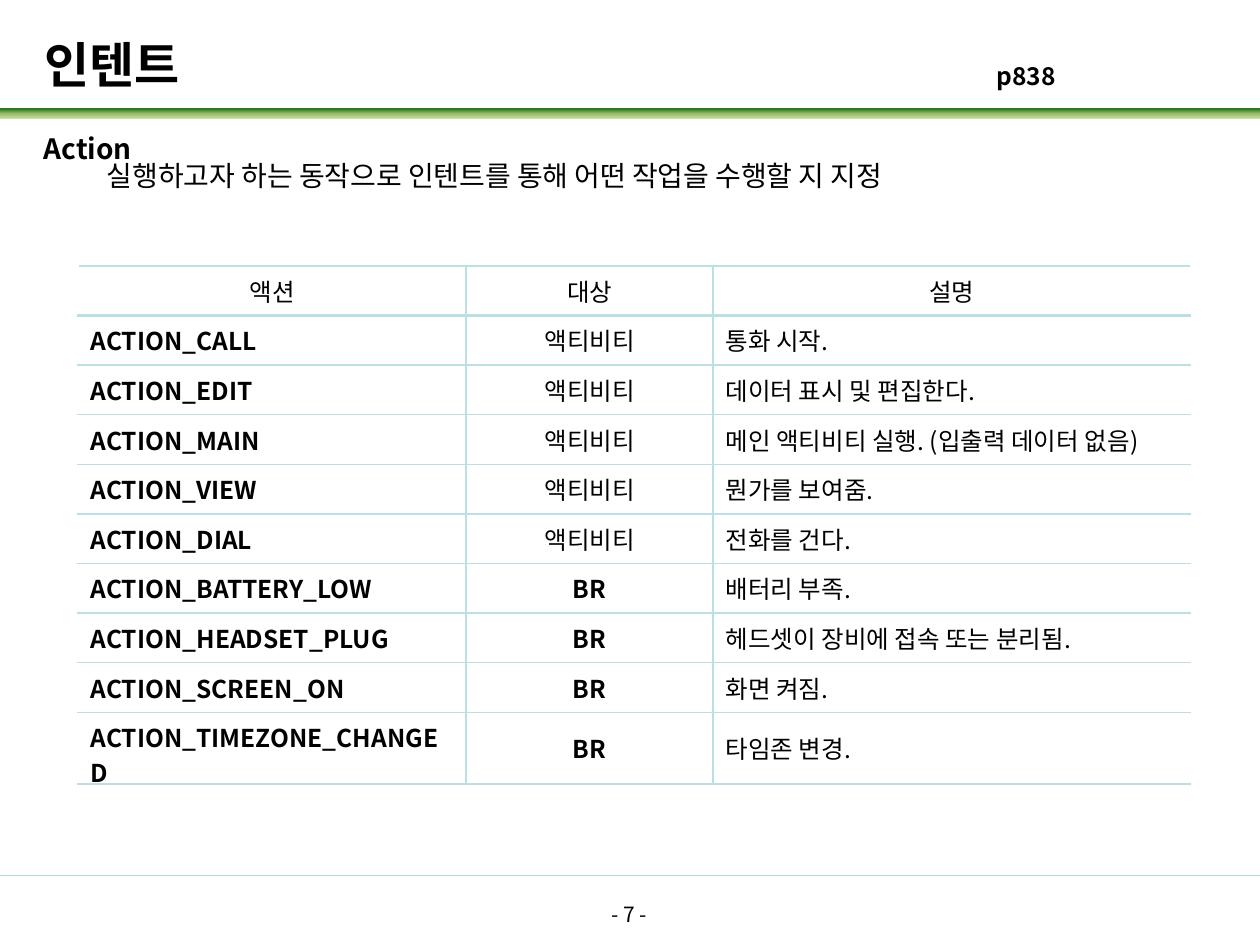
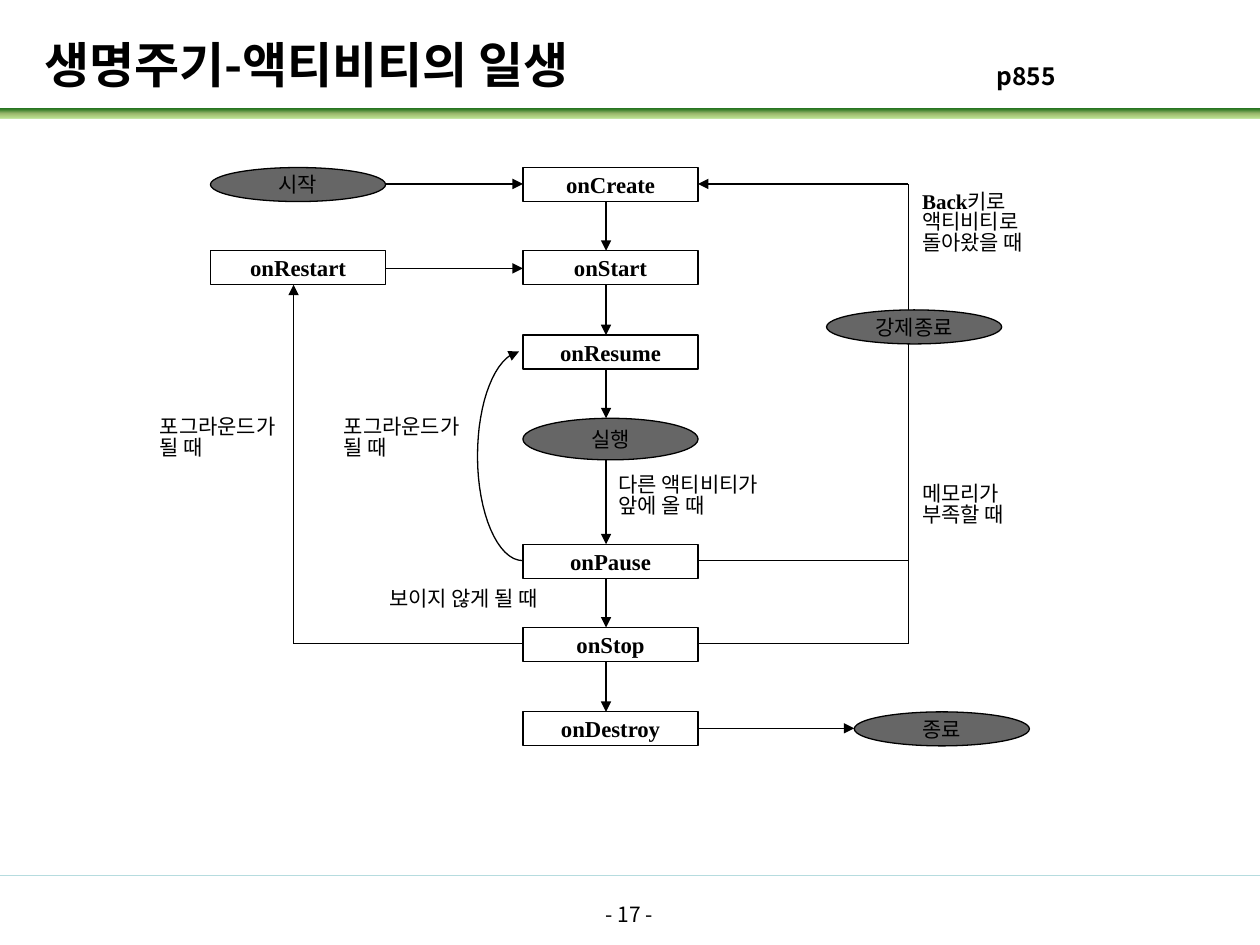
from itertools import pairwise
from lxml.etree import SubElement
from pptx import Presentation
from pptx.dml.color import RGBColor
from pptx.enum.shapes import MSO_CONNECTOR, MSO_SHAPE
from pptx.enum.text import MSO_ANCHOR, MSO_AUTO_SIZE, PP_ALIGN
from pptx.oxml import parse_xml
from pptx.oxml.ns import nsdecls, qn
from pptx.util import Pt

PX = 9144
HUE = {"ink": "000000", "paper": "FFFFFF", "oval": "666666", "foot": "B6DCDF",
       "grid": "BBE0E3", "lime": "92D050", "moss": "9CB86E", "leaf": "156B13"}
SANS, SERIF = "Noto Sans CJK KR", "Times New Roman"
TIGHT = 0.82

PAGES = [("인텐트", "p838", "- 7 -"),
         ("생명주기-액티비티의 일생", "p855", "- 17 -")]

INTRO = ["Action", "실행하고자 하는 동작으로 인텐트를 통해 어떤 작업을 수행할 지 지정"]
COLS = [308, 196, 379]
ROWS = [
    ("액션", "대상", "설명"),
    ("ACTION_CALL", "액티비티", "통화 시작."),
    ("ACTION_EDIT", "액티비티", "데이터 표시 및 편집한다."),
    ("ACTION_MAIN", "액티비티", "메인 액티비티 실행. (입출력 데이터 없음)"),
    ("ACTION_VIEW", "액티비티", "뭔가를 보여줌."),
    ("ACTION_DIAL", "액티비티", "전화를 건다."),
    ("ACTION_BATTERY_LOW", "BR", "배터리 부족."),
    ("ACTION_HEADSET_PLUG", "BR", "헤드셋이 장비에 접속 또는 분리됨."),
    ("ACTION_SCREEN_ON", "BR", "화면 켜짐."),
    ("ACTION_TIMEZONE_CHANGED", "BR", "타임존 변경."),
]

WIDE, HIGH, MID, SPINE = 139, 27, 415, 481
FLOW = [("onCreate", 133, HIGH), ("onStart", 199, HIGH), ("onResume", 266, HIGH),
        ("실행", 332, 33), ("onPause", 432, HIGH), ("onStop", 498, HIGH),
        ("onDestroy", 565, HIGH)]
SIDE = [("시작", 167, 133), ("onRestart", 167, 199), ("강제종료", 656, 246),
        ("종료", 678, 565)]
ARROWS = [(306, 146, 415, 146), (306, 213, 415, 213), (554, 578, 678, 578),
          (233, 511, 233, 226), (721, 146, 554, 146)]
LINES = [(415, 511, 233, 511), (721, 445, 554, 445), (554, 511, 721, 511),
         (721, 511, 721, 272), (721, 246, 721, 146)]
CURVE = [[(412, 279), (393, 283), (379, 319), (379, 362)],
         [(379, 362), (379, 407), (395, 445), (415, 445)]]
LABELS = [
    ((722, 380, 93, 50), ["메모리가", "부족할 때"]),
    ((722, 148, 110, 71), [("Back", "키로"), "액티비티로", "돌아왔을 때"]),
    ((299, 463, 156, 30), ["보이지 않게 될 때"]),
    ((481, 373, 144, 51), ["다른 액티비티가", "앞에 올 때"]),
    ((263, 327, 121, 50), ["포그라운드가", "될 때"]),
    ((117, 327, 121, 50), ["포그라운드가", "될 때"]),
]


def px(*nums):
    return [round(n * PX) for n in nums]


def tint(name):
    return RGBColor.from_string(HUE[name])


def write(para, text, size, bold=False, face=SANS, align=PP_ALIGN.LEFT):
    para.alignment = align
    run = para.add_run()
    run.text = text
    font = run.font
    font.size, font.bold, font.name = Pt(size), bold, face
    font.color.rgb = tint("ink")
    if face == SANS:
        SubElement(run._r.get_or_add_rPr(), qn("a:ea"), typeface=face)


def box(slide, area):
    frame = slide.shapes.add_textbox(*px(*area)).text_frame
    frame.word_wrap = True
    return frame


def lines(frame, count):
    for _ in range(count - 1):
        frame.add_paragraph()
    for para in frame.paragraphs:
        para.line_spacing = TIGHT
    return frame.paragraphs


def note(slide, area, text, size, **style):
    write(lines(box(slide, area), 1)[0], text, size, **style)


def tip(shape, end):
    SubElement(shape.line._get_or_add_ln(), qn(f"a:{end}"), type="triangle")


def link(slide, ends, arrow=False, hue="ink"):
    line = slide.shapes.add_connector(MSO_CONNECTOR.STRAIGHT, *px(*ends))
    line.line.width = Pt(0.75)
    line.line.color.rgb = tint(hue)
    SubElement(line._element.spPr, qn("a:effectLst"))
    if arrow:
        tip(line, "tailEnd")


def band(slide):
    bar = slide.shapes.add_shape(MSO_SHAPE.RECTANGLE, *px(0, 86, 1000, 8))
    bar.shadow.inherit = False
    bar.line.fill.background()
    stops = "".join(
        f'<a:gs pos="{pos}"><a:srgbClr val="{HUE[hue]}"><a:alpha val="{alpha}"/></a:srgbClr></a:gs>'
        for pos, hue, alpha in [(0, "lime", 56000), (50000, "moss", 100000),
                                (100000, "leaf", 100000)])
    fill = parse_xml(f'<a:gradFill {nsdecls("a")} rotWithShape="1"><a:gsLst>{stops}</a:gsLst>'
                     '<a:lin ang="16200000" scaled="0"/></a:gradFill>')
    bar._element.spPr.find(qn("a:prstGeom")).addnext(fill)


def page(deck, name, ref, foot):
    slide = deck.slides.add_slide(deck.slide_layouts[5])
    band(slide)
    link(slide, (0, 695, 1000, 695), hue="foot")
    title = slide.shapes.title
    title.left, title.top, title.width, title.height = px(35, 28, 612, 45)
    frame = title.text_frame
    frame.auto_size = MSO_AUTO_SIZE.NONE
    frame.vertical_anchor = MSO_ANCHOR.MIDDLE
    frame.margin_left = frame.margin_right = 0
    write(frame.paragraphs[0], name, 28, bold=True)
    note(slide, (781, 48, 249, 34), ref, 14, bold=True)
    note(slide, (383, 714, 233, 52), foot, 12, align=PP_ALIGN.CENTER)
    return slide


def edge(cell, sides):
    props = cell._tc.get_or_add_tcPr()
    for spot, (side, width) in enumerate(sides):
        props.insert(spot, parse_xml(
            f'<a:ln{side} {nsdecls("a")} w="{Pt(width)}"><a:solidFill>'
            f'<a:srgbClr val="{HUE["grid"]}"/></a:solidFill></a:ln{side}>'))


def grid(slide):
    table = slide.shapes.add_table(len(ROWS), len(COLS),
                                   *px(62, 211, sum(COLS), 394)).table
    table.first_row = table.horz_banding = False
    for col, wide in zip(table.columns, COLS):
        col.width = wide * PX
    for r, row in enumerate(ROWS):
        for c, text in enumerate(row):
            cell = table.cell(r, c)
            cell.fill.background()
            cell.vertical_anchor = MSO_ANCHOR.MIDDLE
            mid = r == 0 or c == 1
            write(cell.text_frame.paragraphs[0], text, 14,
                  bold=r > 0 and (c == 0 or text == "BR"),
                  align=PP_ALIGN.CENTER if mid else PP_ALIGN.LEFT)
            sides = [("L", 1)] if c else []
            sides += [("R", 1)] if c < len(COLS) - 1 else []
            sides += [("T", 1.5 if r < 2 else 1), ("B", 1 if r else 1.5)]
            edge(cell, sides)


def node(slide, name, x, y, high=HIGH):
    step = name.startswith("on")
    kind = MSO_SHAPE.RECTANGLE if step else MSO_SHAPE.OVAL
    shape = slide.shapes.add_shape(kind, *px(x, y, WIDE, high))
    shape.shadow.inherit = False
    shape.fill.solid()
    shape.fill.fore_color.rgb = tint("paper" if step else "oval")
    shape.line.color.rgb = tint("ink")
    shape.line.width = Pt(0.75)
    frame = shape.text_frame
    frame.word_wrap = False
    frame.vertical_anchor = MSO_ANCHOR.MIDDLE
    frame.margin_top = frame.margin_bottom = 0
    write(frame.paragraphs[0], name, 13 if step else 12, bold=step,
          face=SERIF if step else SANS, align=PP_ALIGN.CENTER)


def bend(slide):
    dots = []
    for a, b, c, d in CURVE:
        for t in (i / 16 for i in range(17)):
            s = 1 - t
            dots.append(px(*(s**3 * p + 3 * s * s * t * q + 3 * s * t * t * u + t**3 * v
                             for p, q, u, v in zip(a, b, c, d))))
    path = slide.shapes.build_freeform(*dots[0])
    path.add_line_segments(dots[1:], close=False)
    shape = path.convert_to_shape()
    shape.shadow.inherit = False
    shape.fill.background()
    shape.line.color.rgb = tint("ink")
    shape.line.width = Pt(0.75)
    tip(shape, "headEnd")


def actions(slide):
    head, body = lines(box(slide, (25, 104, 950, 106)), 2)
    write(head, INTRO[0], 16, bold=True)
    write(body, INTRO[1], 16)
    body._p.get_or_add_pPr().set("marL", str(50 * PX))
    grid(slide)


def cycle(slide):
    for name, y, high in FLOW:
        node(slide, name, MID, y, high)
    for (_, top, high), (_, low, _) in pairwise(FLOW):
        link(slide, (SPINE, top + high, SPINE, low), arrow=True)
    for ends in ARROWS:
        link(slide, ends, arrow=True)
    for ends in LINES:
        link(slide, ends)
    for spot in SIDE:
        node(slide, *spot)
    bend(slide)
    for area, rows in LABELS:
        for para, row in zip(lines(box(slide, area), len(rows)), rows):
            for text in [row] if isinstance(row, str) else row:
                key = text == "Back"
                write(para, text, 12, bold=key, face=SERIF if key else SANS)


def main():
    deck = Presentation()
    deck.slide_width, deck.slide_height = px(1000, 750)
    for info, draw in zip(PAGES, (actions, cycle)):
        draw(page(deck, *info))
    deck.save("out.pptx")


if __name__ == "__main__":
    main()
